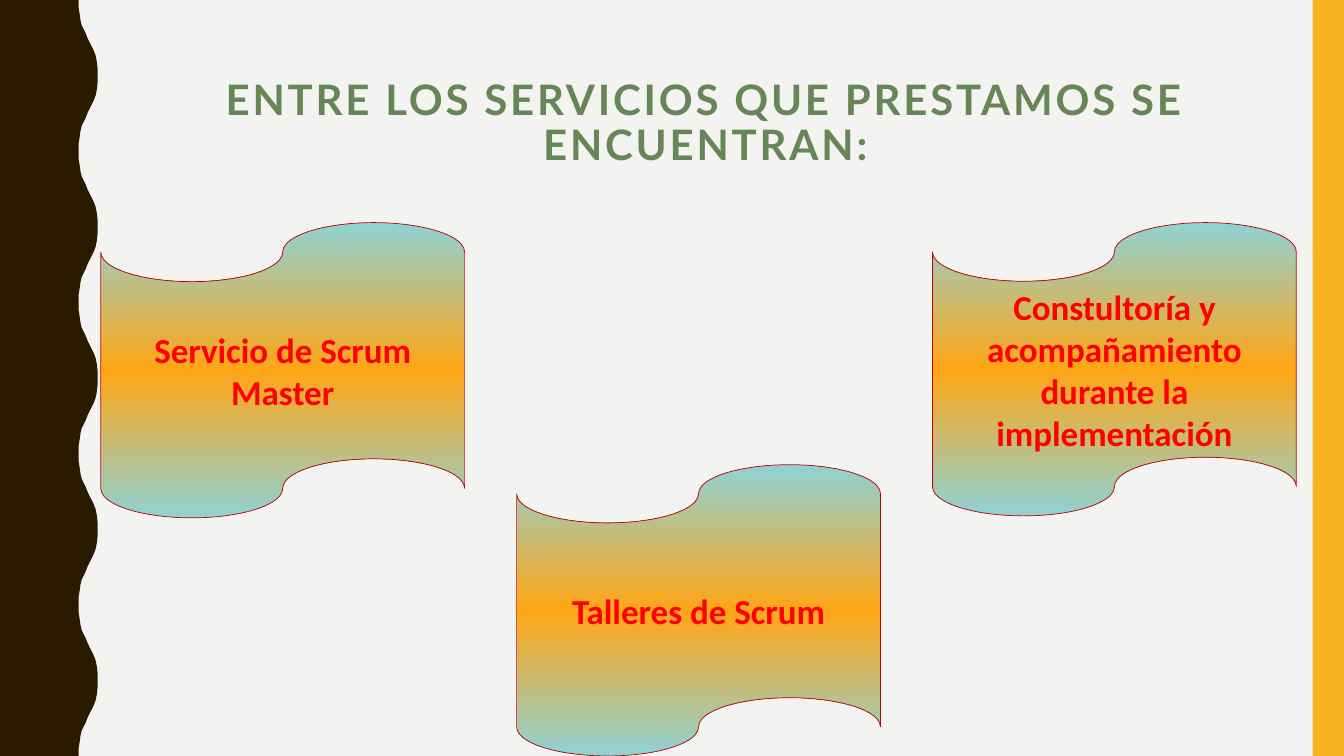
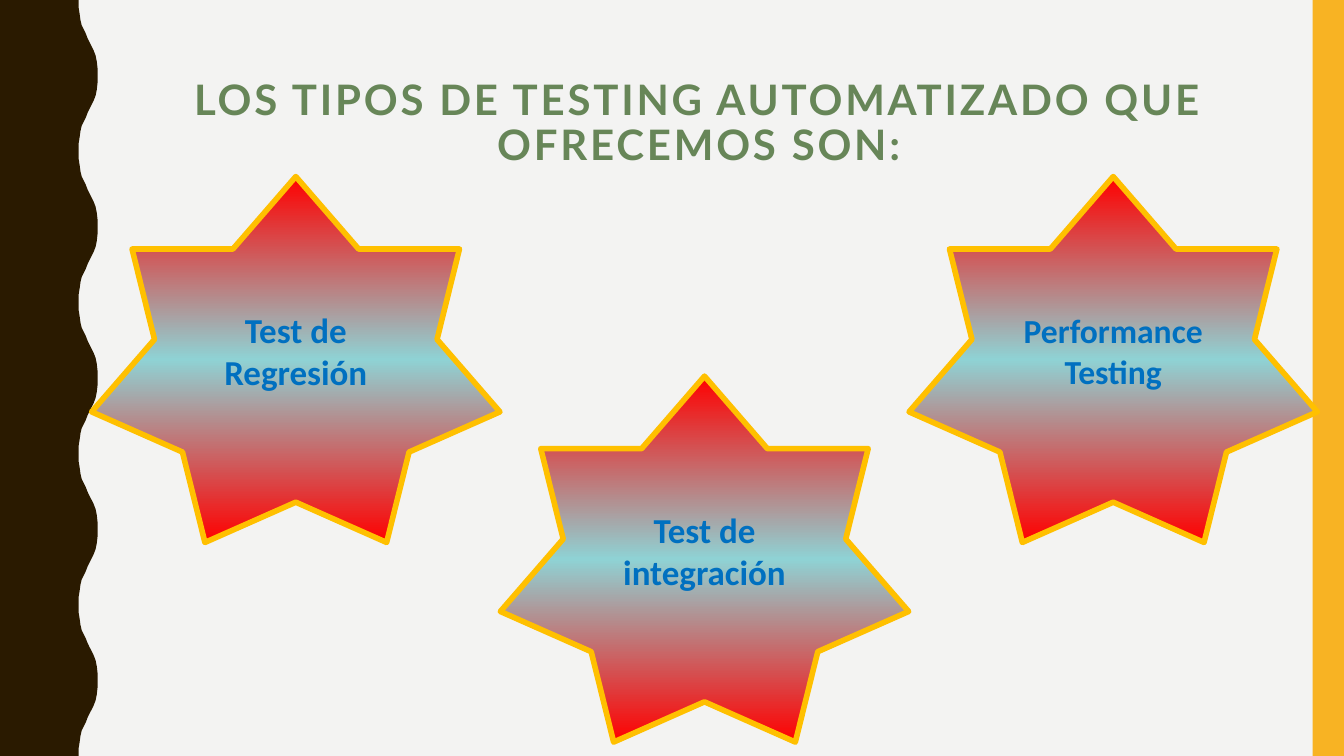
from copy import deepcopy

from pptx import Presentation
from pptx import util as u
from pptx.dml.color import RGBColor
from pptx.enum import shapes, text
from pptx.oxml.ns import qn

COLORS = {
    "paper": "F3F3F2", "brown": "2A1A00", "amber": "F8B323", "title": "678658",
    "aqua": "8FD2D4", "orange": "FFA615", "dark_red": "C00000", "red": "FF0000",
    "gold": "FFC000", "blue": "0070C0",
}
SLIDE_W, SLIDE_H = 33.87, 19.05
BAND_W = 0.79
WAVES = 5
# Half of one wave, from trough to crest (x, y in cm)
HALF_WAVE = [
    (1.98, 0), (1.98, 0.18), (2.01, 0.36), (2.03, 0.51), (2.06, 0.64),
    (2.11, 0.74), (2.16, 0.84), (2.21, 0.97), (2.26, 1.07), (2.31, 1.17),
    (2.36, 1.27), (2.41, 1.4), (2.44, 1.55), (2.46, 1.73), (2.46, 1.9),
]
SCROLL = dict(kind=shapes.MSO_SHAPE.WAVE, edge="aqua", middle="orange",
              line="dark_red", line_width=0.5, color="red")
STAR = dict(kind=shapes.MSO_SHAPE.STAR_7_POINT, edge="red", middle="aqua",
            line="gold", line_width=4, color="blue")
SCROLL["kind"] = shapes.MSO_SHAPE.FLOWCHART_PUNCHED_TAPE


def rgb(name):
    """Return the named colour."""
    return RGBColor.from_string(COLORS[name])


def cm(*lengths):
    """Convert a box or point to lengths."""
    return [u.Cm(n) for n in lengths]


def write(sp, content, font="Calibri", size=25, color="red", spacing=0, leading=1.0):
    """Write bold text centred both ways in a shape."""
    tf = sp.text_frame
    tf.word_wrap = True
    tf.vertical_anchor = text.MSO_ANCHOR.MIDDLE
    p = tf.paragraphs[0]
    p.alignment = text.PP_ALIGN.CENTER
    p.line_spacing = leading
    r = p.add_run()
    r.text = content
    r.font.name, r.font.size, r.font.bold = font, u.Pt(size), True
    r.font.color.rgb = rgb(color)
    if spacing:
        r._r.get_or_add_rPr().set("spc", str(spacing * 100))


def paint(sp, color):
    """Give a shape a plain fill without line or shadow."""
    sp.shadow.inherit = False
    sp.fill.solid()
    sp.fill.fore_color.rgb = rgb(color)
    sp.line.fill.background()


def mirror_gradient(sp, edge, middle):
    """Fill a shape from edge to middle colour and back, top to bottom."""
    sp.fill.gradient()
    sp.fill.gradient_angle = 90
    first = sp._element.spPr.find(".//" + qn("a:gs"))
    first.addnext(deepcopy(first))
    stops = sp.fill.gradient_stops
    for stop, position, color in zip(stops, (0, 0.5, 1), (edge, middle, edge)):
        stop.position = position
        stop.color.rgb = rgb(color)


def add_wavy_edge(s):
    """Draw the brown wavy border down the left side."""
    period = SLIDE_H / WAVES
    wave = HALF_WAVE + [(x, period - y) for x, y in HALF_WAVE[-2::-1]]
    points = [(x, y + i * period) for i in range(WAVES) for x, y in wave]
    outline = s.shapes.build_freeform(0, 0)
    outline.add_line_segments([cm(*pt) for pt in points + [(0, SLIDE_H)]], close=True)
    paint(outline.convert_to_shape(), "brown")


def add_frame(prs, title, box):
    """Add a slide with background, side borders and a title in its box."""
    s = prs.slides.add_slide(prs.slide_layouts[6])
    s.background.fill.solid()
    s.background.fill.fore_color.rgb = rgb("paper")
    add_wavy_edge(s)
    band = s.shapes.add_shape(shapes.MSO_SHAPE.RECTANGLE,
                              *cm(SLIDE_W - BAND_W, 0, BAND_W, SLIDE_H))
    paint(band, "amber")
    write(s.shapes.add_textbox(*cm(*box)), title, font="Lato", size=30,
          color="title", spacing=2, leading=0.9)
    return s


def add_badge(s, box, label, size, kind, edge, middle, line, line_width, color):
    """Draw one labelled gradient shape in its box."""
    sp = s.shapes.add_shape(kind, *cm(*box))
    sp.shadow.inherit = False
    mirror_gradient(sp, edge, middle)
    sp.line.color.rgb = rgb(line)
    sp.line.width = u.Pt(line_width)
    write(sp, label, size=size, color=color)


def add_badges(s, origin, width, step, drop, items, style):
    """Place badges at equal steps, every second one lowered by drop."""
    left, top = origin
    for i, (label, height, size) in enumerate(items):
        box = (left + i * step, top + i % 2 * drop, width, height)
        add_badge(s, box, label, size, **style)


def services_slide(prs):
    """Build the slide of services."""
    s = add_frame(prs, "ENTRE LOS SERVICIOS QUE PRESTAMOS SE ENCUENTRAN:",
                  (2.54, 1.07, 30.48, 4.14))
    add_badges(s, (2.54, 5.61), 9.17, 10.48, 6.1, [
        ("Servicio de Scrum Master", 7.44, 25),
        ("Talleres de Scrum", 7.34, 25),
        ("Constultoría y acompañamiento durante la implementación", 7.39, 25),
    ], SCROLL)


def testing_slide(prs):
    """Build the slide of automated testing types."""
    s = add_frame(prs, "LOS TIPOS DE TESTING AUTOMATIZADO QUE OFRECEMOS SON:",
                  (3.48, 1.07, 28.27, 4.14))
    add_badges(s, (2.31, 4.45), 10.29, 10.3, 5.03, [
        ("Test de Regresión", 9.22, 25),
        ("Test de integración", 9.22, 25),
        ("Performance Testing", 9.22, 24),
    ], STAR)


prs = Presentation()
prs.slide_width, prs.slide_height = cm(SLIDE_W, SLIDE_H)
services_slide(prs)
testing_slide(prs)
prs.save("out.pptx")
